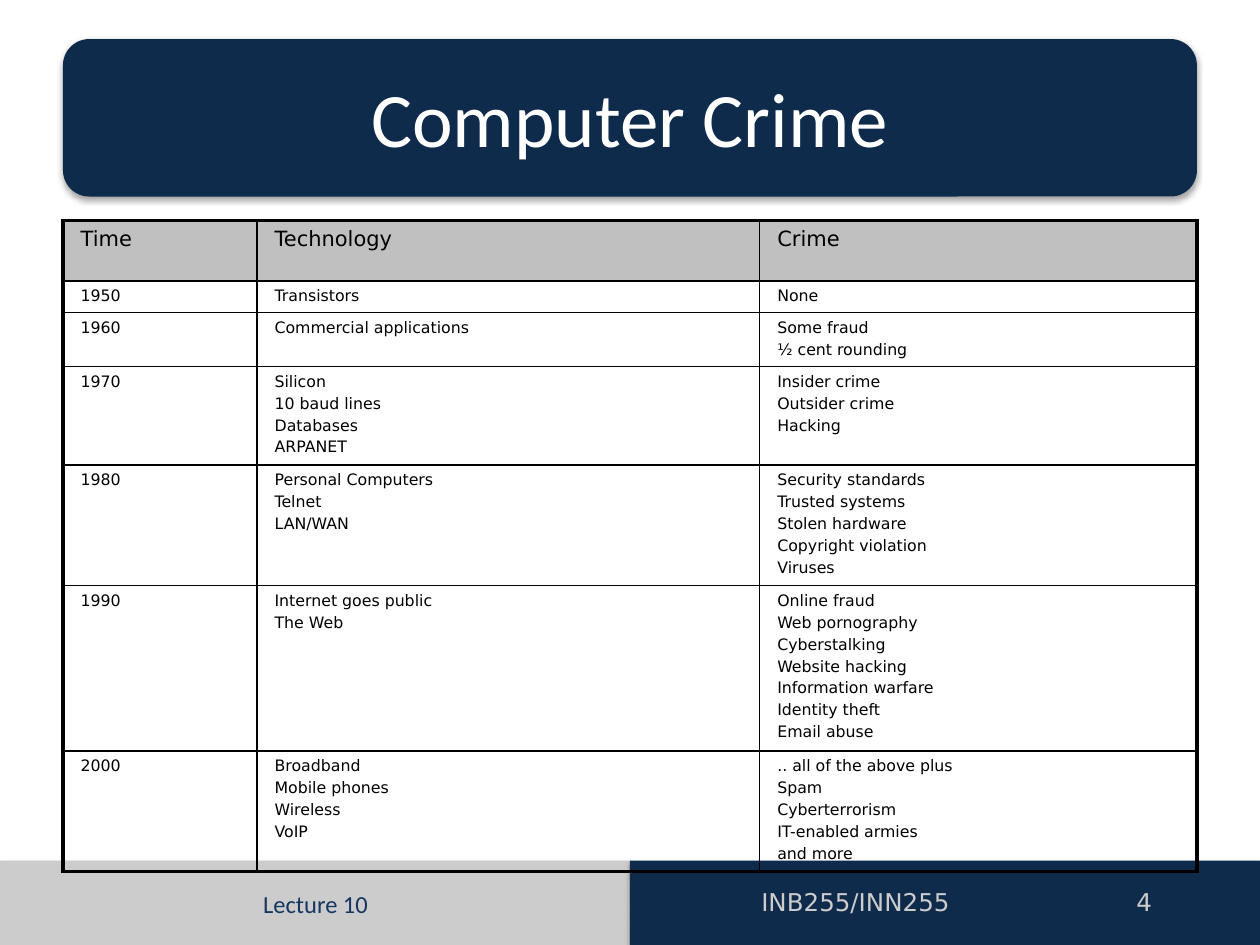
import lxml.etree
import pptx
import pptx.dml.color
import pptx.enum.shapes
import pptx.enum.text
import pptx.oxml
import pptx.oxml.ns
import pptx.util

RGB = pptx.dml.color.RGBColor
NAVY = RGB(0x0F, 0x2B, 0x4B)
BLUE = RGB(0x15, 0x37, 0x5F)
SILVER = RGB(0xCC, 0xCC, 0xCC)
HEADER_GREY = RGB(0xC0, 0xC0, 0xC0)
WHITE = RGB(0xFF, 0xFF, 0xFF)
BLACK = RGB(0x00, 0x00, 0x00)

SHAPE = pptx.enum.shapes.MSO_SHAPE
ALIGN = pptx.enum.text.PP_ALIGN
MIDDLE = pptx.enum.text.MSO_ANCHOR.MIDDLE

GRID_COLS, GRID_ROWS = 100, 75
OUTER_LINE, INNER_LINE = 2.25, 1

COLUMN_WIDTHS = [15.4, 39.9, 34.7]
ROW_HEIGHTS = [4.8, 2.3, 4, 7.5, 9.2, 12.7, 9.2]
HISTORY = [
    (["Time"], ["Technology"], ["Crime"]),
    (["1950"], ["Transistors"], ["None"]),
    (["1960"], ["Commercial applications"], ["Some fraud", "½ cent rounding"]),
    (["1970"], ["Silicon", "10 baud lines", "Databases", "ARPANET"],
     ["Insider crime", "Outsider crime", "Hacking"]),
    (["1980"], ["Personal Computers", "Telnet", "LAN/WAN"],
     ["Security standards", "Trusted systems", "Stolen hardware",
      "Copyright violation", "Viruses"]),
    (["1990"], ["Internet goes public", "The Web"],
     ["Online fraud", "Web pornography", "Cyberstalking", "Website hacking",
      "Information warfare", "Identity theft", "Email abuse"]),
    (["2000"], ["Broadband", "Mobile phones", "Wireless", "VoIP"],
     [".. all of the above plus", "Spam", "Cyberterrorism",
      "IT-enabled armies", "and more"]),
]


def write(tf, *lines, size, font="DejaVu Sans", color=BLACK, align=ALIGN.LEFT, gap=0):
    """Fill a text frame, one paragraph a line, with gap points between them."""
    for i, line in enumerate(lines):
        p = tf.add_paragraph() if i else tf.paragraphs[0]
        p.alignment = align
        p.space_before = pptx.util.Pt(gap if i else 0)
        r = p.add_run()
        r.text = line
        r.font.size = pptx.util.Pt(size)
        r.font.name = font
        r.font.color.rgb = color


def add_shadow(sp):
    sp.shadow.inherit = False
    effects = sp._element.spPr.find(pptx.oxml.ns.qn("a:effectLst"))
    effects.append(pptx.oxml.parse_xml(
        f'<a:outerShdw {pptx.oxml.ns.nsdecls("a")} blurRad="{pptx.util.Pt(3.1)}" '
        f'dist="{pptx.util.Pt(1.8)}" dir="5400000" rotWithShape="0">'
        '<a:srgbClr val="000000"><a:alpha val="35000"/></a:srgbClr></a:outerShdw>'))


def set_borders(cell, **widths):
    """Draw cell edges; keywords L, R, T, B (in that order) give points."""
    tc_pr = cell._tc.get_or_add_tcPr()
    for side, width in widths.items():
        tc_pr.append(pptx.oxml.parse_xml(
            f'<a:ln{side} {pptx.oxml.ns.nsdecls("a")} w="{pptx.util.Pt(width)}">'
            f'<a:solidFill><a:srgbClr val="{BLACK}"/></a:solidFill></a:ln{side}>'))


class SlideBuilder:
    """Places elements on a slide; lengths are in grid columns and rows."""

    def __init__(self, prs):
        self.col = prs.slide_width / GRID_COLS
        self.row = prs.slide_height / GRID_ROWS
        self.slide = prs.slides.add_slide(prs.slide_layouts[6])

    def box(self, left, top, width, height):
        return (round(left * self.col), round(top * self.row),
                round(width * self.col), round(height * self.row))

    def panel(self, kind, *at, color):
        sp = self.slide.shapes.add_shape(kind, *self.box(*at))
        sp.fill.solid()
        sp.fill.fore_color.rgb = color
        sp.line.fill.background()
        add_shadow(sp)

    def text(self, text, *at, **style):
        tf = self.slide.shapes.add_textbox(*self.box(*at)).text_frame
        tf.word_wrap = True
        tf.vertical_anchor = MIDDLE
        write(tf, text, **style)

    def table(self, left, top, rows, widths, heights):
        table = self.slide.shapes.add_table(
            len(rows), len(widths),
            *self.box(left, top, sum(widths), sum(heights))).table
        table.horz_banding = False
        for column, width in zip(table.columns, widths):
            column.width = round(width * self.col)
        for row, height in zip(table.rows, heights):
            row.height = round(height * self.row)
        last_row, last_col = len(rows) - 1, len(widths) - 1
        for i, row in enumerate(rows):
            for j, lines in enumerate(row):
                cell = table.cell(i, j)
                cell.margin_left = cell.margin_right = pptx.util.Inches(0.14)
                set_borders(cell,
                            L=INNER_LINE if j else OUTER_LINE,
                            R=OUTER_LINE if j == last_col else INNER_LINE,
                            T=INNER_LINE if i else OUTER_LINE,
                            B=OUTER_LINE if i == last_row else INNER_LINE)
                if i:
                    cell.fill.background()
                else:
                    cell.fill.solid()
                    cell.fill.fore_color.rgb = HEADER_GREY
                write(cell.text_frame, *lines, size=9 if i else 12, gap=1.9)


def main():
    prs = pptx.Presentation()
    prs.slide_width = pptx.util.Inches(10)
    prs.slide_height = pptx.util.Inches(7.5)
    s = SlideBuilder(prs)

    s.panel(SHAPE.RECTANGLE, 0, 68.3, 50, 6.7, color=SILVER)
    s.panel(SHAPE.RECTANGLE, 50, 68.3, 50, 6.7, color=NAVY)
    s.panel(SHAPE.ROUNDED_RECTANGLE, 5, 3.1, 90, 12.5, color=NAVY)

    s.text("INB255/INN255", 50.8, 69.6, 34.2, 4, size=14, color=SILVER, align=ALIGN.CENTER)
    s.text("4", 78.2, 69.6, 14.2, 4, size=14, color=SILVER, align=ALIGN.RIGHT)
    s.table(5, 17.5, HISTORY, COLUMN_WIDTHS, ROW_HEIGHTS)
    s.text("Computer Crime", 5, 3, 90, 12.5, size=44, font="Calibri",
           color=WHITE, align=ALIGN.CENTER)
    s.text("Lecture 10", 1.7, 69.7, 46.7, 4, size=14, font="Calibri",
           color=BLUE, align=ALIGN.CENTER)

    prs.save("out.pptx")


if __name__ == "__main__":
    main()
